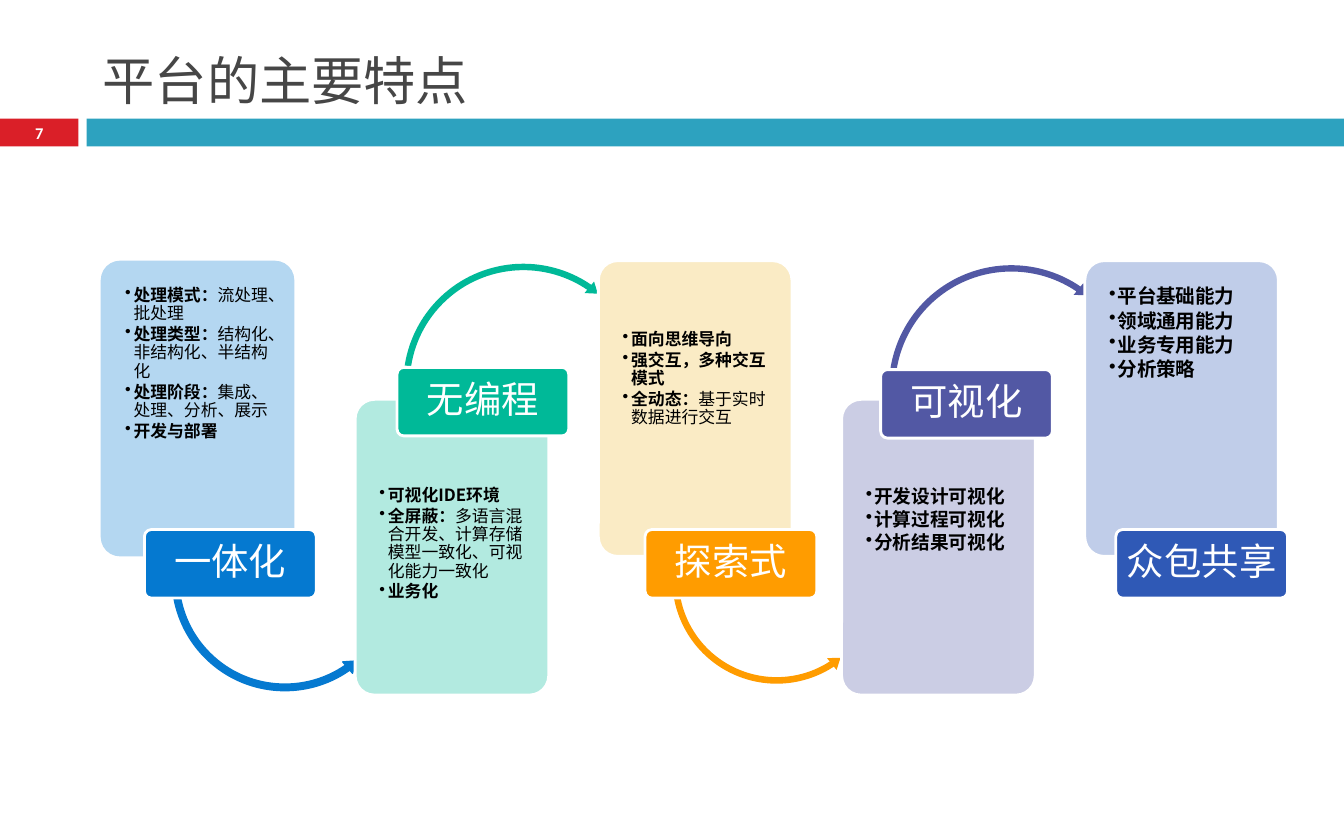
import pptx
import pptx.util
import pptx.dml.color
import pptx.enum.shapes
import pptx.enum.text
import pptx.oxml.ns
import lxml.etree

Pt = pptx.util.Pt
RGBColor = pptx.dml.color.RGBColor
Shape = pptx.enum.shapes.MSO_SHAPE
Align = pptx.enum.text.PP_ALIGN
Anchor = pptx.enum.text.MSO_ANCHOR
qn = pptx.oxml.ns.qn

COLORS = {
    "white": "FFFFFF", "black": "000000", "title": "464646",
    "red": "DA1F28", "teal": "2DA2BF",
    "blue": "0579D0", "pale_blue": "B4D7F1",
    "green": "00B998", "pale_green": "B2EAE0",
    "orange": "FF9C00", "pale_orange": "FAEBC5",
    "purple": "5258A4", "pale_purple": "CBCDE4",
    "indigo": "2F59B6", "pale_indigo": "C0CDE9",
}
CJK_FONT = "Noto Sans CJK SC"

presentation = pptx.Presentation()
presentation.slide_width = Pt(720)
presentation.slide_height = Pt(450)
slide = presentation.slides.add_slide(presentation.slide_layouts[6])


def add_box(kind, left, top, width, height, fill, line=None, line_width=1.5):
    shape = slide.shapes.add_shape(kind, Pt(left), Pt(top), Pt(width), Pt(height))
    shape.shadow.inherit = False
    shape.fill.solid()
    shape.fill.fore_color.rgb = RGBColor.from_string(COLORS[fill])
    if line:
        shape.line.color.rgb = RGBColor.from_string(COLORS[line])
        shape.line.width = Pt(line_width)
    else:
        shape.line.fill.background()
    return shape


def add_run(paragraph, text, size, color, bold=False, name=CJK_FONT):
    run = paragraph.add_run()
    run.text = text
    for key, value in {"size": Pt(size), "bold": bold, "name": name}.items():
        setattr(run.font, key, value)
    run.font.color.rgb = RGBColor.from_string(COLORS[color])
    east_asian = lxml.etree.SubElement(run.font._element, qn("a:ea"))
    east_asian.set("typeface", CJK_FONT)


number_box = add_box(Shape.RECTANGLE, 0, 63.5, 42, 15, "red")
number_format = {"margin_left": 0, "margin_right": 0, "margin_top": 0,
                 "margin_bottom": 0, "vertical_anchor": Anchor.MIDDLE}
for key, value in number_format.items():
    setattr(number_box.text_frame, key, value)
number_box.text_frame.paragraphs[0].alignment = Align.CENTER
add_run(number_box.text_frame.paragraphs[0], "7", 8.8, "white", True, "Calibri")
add_box(Shape.RECTANGLE, 46.5, 63.5, 673.5, 15, "teal")

title_box = slide.shapes.add_textbox(Pt(48), Pt(12.8), Pt(642), Pt(50.4))
for key, value in {"word_wrap": True, "vertical_anchor": Anchor.BOTTOM}.items():
    setattr(title_box.text_frame, key, value)
add_run(title_box.text_frame.paragraphs[0], "平台的主要特点", 28, "title")

UP, DOWN = Shape.CIRCULAR_ARROW, Shape.LEFT_CIRCULAR_ARROW
features = [
    {"label": "一体化", "color": "blue", "panel": (54, 139.7), "label_at": (77.4, 283.7),
     "text_top": 10.8, "size": 9,
     "items": [("处理模式：", "流处理、批处理"), ("处理类型：", "结构化、非结构化、半结构化"),
               ("处理阶段：", "集成、处理、分析、展示"), ("开发与部署", "")],
     "arrow": (DOWN, 90, 247, 125.3, (0.028, 3.374, 32.991, 102.107, 0.032))},
    {"label": "无编程", "color": "green", "panel": (190.3, 214), "label_at": (212.7, 196.8),
     "text_top": 43.6, "size": 9,
     "items": [("可视化IDE环境", ""), ("全屏蔽：", "多语言混合开发、计算存储模型一致化、可视化能力一致化"),
               ("业务化", "")],
     "arrow": (UP, 213.8, 139, 133.2, (0.026, 3.147, 182.61, 113.268, 0.03))},
    {"label": "探索式", "color": "orange", "panel": (320.6, 139.7), "label_at": (345.6, 283.7),
     "text_top": 34.4, "size": 9,
     "items": [("面向思维导向", ""), ("强交互，多种交互模式", ""), ("全动态：", "基于实时数据进行交互")],
     "arrow": (DOWN, 357.8, 252, 116.6, (0.03, 3.628, 34.182, 103.043, 0.035))},
    {"label": "可视化", "color": "purple", "panel": (450.9, 214), "label_at": (471.8, 198),
     "text_top": 43.6, "size": 10,
     "items": [("开发设计可视化", ""), ("计算过程可视化", ""), ("分析结果可视化", "")],
     "arrow": (UP, 473.8, 139.7, 136.1, (0.025, 3.084, 182.502, 113.096, 0.03))},
    {"label": "众包共享", "color": "indigo", "panel": (581.2, 139.7), "label_at": (597.8, 283.7),
     "text_top": 10.8, "size": 10.5,
     "items": [("平台基础能力", ""), ("领域通用能力", ""), ("业务专用能力", ""), ("分析策略", "")],
     "arrow": None},
]

for index, feature in enumerate(features):
    color, size = feature["color"], feature["size"]
    panel = add_box(Shape.ROUNDED_RECTANGLE, *feature["panel"], 103.7, 158.4,
                    "pale_" + color, "white" if index else None)
    panel.adjustments[0] = 0.1
    panel_format = {"margin_left": Pt(10), "margin_right": Pt(10),
                    "margin_top": Pt(feature["text_top"]), "margin_bottom": Pt(10),
                    "word_wrap": True, "vertical_anchor": Anchor.TOP}
    for key, value in panel_format.items():
        setattr(panel.text_frame, key, value)
    for item_index, (heading, detail) in enumerate(feature["items"]):
        frame = panel.text_frame
        paragraph = frame.add_paragraph() if item_index else frame.paragraphs[0]
        properties = paragraph._p.get_or_add_pPr()
        properties.set("marL", str(Pt(4.5)))
        properties.set("indent", str(Pt(-4.5)))
        lxml.etree.SubElement(properties, qn("a:buChar")).set("char", "•")
        paragraph_format = {"alignment": Align.LEFT, "line_spacing": Pt(round(size * 1.09, 1)),
                            "space_after": Pt(round(size * 0.15, 2))}
        for key, value in paragraph_format.items():
            setattr(paragraph, key, value)
        add_run(paragraph, heading, size, "black", True)
        if detail:
            add_run(paragraph, detail, size, "black")

    if feature["arrow"]:
        kind, left, top, side, adjustments = feature["arrow"]
        arrow = add_box(kind, left, top, side, side, color, None if index else color, 0.75)
        for position, value in enumerate(adjustments):
            arrow.adjustments[position] = value

    label = add_box(Shape.ROUNDED_RECTANGLE, *feature["label_at"], 92, 36.7, color, "white")
    label.adjustments[0] = 0.1
    label_format = {"margin_left": Pt(2.8), "margin_right": Pt(2.8), "margin_top": Pt(2),
                    "margin_bottom": Pt(2), "word_wrap": True, "vertical_anchor": Anchor.MIDDLE}
    for key, value in label_format.items():
        setattr(label.text_frame, key, value)
    paragraph = label.text_frame.paragraphs[0]
    for key, value in {"alignment": Align.CENTER, "line_spacing": 0.9}.items():
        setattr(paragraph, key, value)
    add_run(paragraph, feature["label"], 20, "white", False, "Calibri")

presentation.save("out.pptx")
